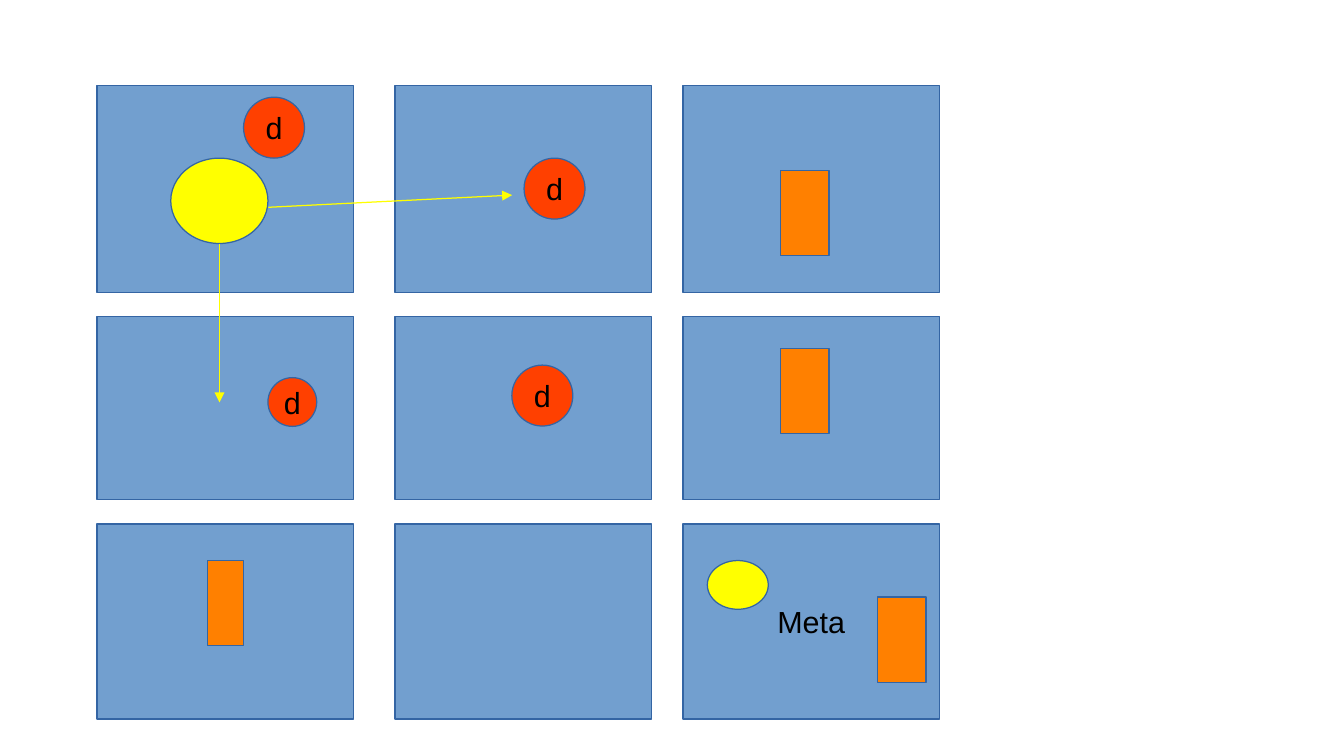
import pptx
import pptx.util
import pptx.dml.color
import pptx.enum.shapes
import pptx.enum.text
import pptx.oxml.ns
import lxml.etree

Pt = pptx.util.Pt
SHAPES = pptx.enum.shapes.MSO_SHAPE
COLOURS = {
    "room": "729FCF",
    "outline": "3465A4",
    "player": "FFFF00",
    "danger": "FF4000",
    "door": "FF8000",
    "text": "000000",
}
COLUMNS = (57.2, 233.2, 403.2)
ROWS = ((50.4, 122.4), (187, 108), (309.4, 115.2))
ROOM_WIDTH = 151.4


def colour(name):
    """Return the RGB colour stored under a name."""
    return pptx.dml.color.RGBColor.from_string(COLOURS[name])


def write_text(shape, text, size=18, font="Arial", ink="text"):
    """Write centred, unwrapped text in a shape."""
    frame = shape.text_frame
    frame.word_wrap = False
    frame.vertical_anchor = pptx.enum.text.MSO_ANCHOR.MIDDLE
    paragraph = frame.paragraphs[0]
    paragraph.alignment = pptx.enum.text.PP_ALIGN.CENTER
    run = paragraph.add_run()
    run.text = text
    run.font.size = Pt(size)
    run.font.name = font
    run.font.color.rgb = colour(ink)


def add_piece(slide, preset, fill, left, top, width, height, text=""):
    """Add an outlined preset shape with an optional label."""
    piece = slide.shapes.add_shape(
        preset, Pt(left), Pt(top), Pt(width), Pt(height))
    piece.shadow.inherit = False
    piece.fill.solid()
    piece.fill.fore_color.rgb = colour(fill)
    piece.line.color.rgb = colour("outline")
    piece.line.width = Pt(0.75)
    if text:
        write_text(piece, text)


def add_move(slide, *ends):
    """Add a player's move as a straight arrow."""
    move = slide.shapes.add_connector(
        pptx.enum.shapes.MSO_CONNECTOR.STRAIGHT, *map(Pt, ends))
    move.line.color.rgb = colour("player")
    move.line.width = Pt(0.75)
    qn = pptx.oxml.ns.qn
    properties = move.line._get_or_add_ln()
    lxml.etree.SubElement(properties, qn("a:tailEnd"), type="triangle")
    lxml.etree.SubElement(properties.getparent(), qn("a:effectLst"))


def add_rooms(slide):
    """Add the grid of rooms, with the goal in the last one."""
    for left in COLUMNS:
        for top, height in ROWS:
            is_goal = left == COLUMNS[-1] and top == ROWS[-1][0]
            add_piece(slide, SHAPES.RECTANGLE, "room", left, top,
                      ROOM_WIDTH, height, "Meta" if is_goal else "")


def main():
    """Build the game board slide and save it."""
    deck = pptx.Presentation()
    deck.slide_width, deck.slide_height = Pt(793.44), Pt(446.4)
    slide = deck.slides.add_slide(deck.slide_layouts[6])

    add_rooms(slide)
    add_piece(slide, SHAPES.OVAL, "player", 100.8, 93.4, 57.4, 50.4)
    add_move(slide, 158.4, 122.4, 302.4, 115.2)
    add_move(slide, 129.6, 144, 129.6, 237.6)
    for left, top, size in ((302.2, 215.6, 36), (309.4, 93.4, 36),
                            (158.2, 223, 28.8)):
        add_piece(slide, SHAPES.OVAL, "danger", left, top, size, size, "d")
    for left, top, width in ((460.6, 100.6, 28.8), (122.4, 330.8, 21.6),
                             (460.6, 205.6, 28.8)):
        add_piece(slide, SHAPES.RECTANGLE, "door", left, top, width, 50.4)
    add_piece(slide, SHAPES.OVAL, "player", 417.6, 331, 36, 28.8)
    add_piece(slide, SHAPES.RECTANGLE, "door", 518, 352.6, 28.8, 50.4)
    add_piece(slide, SHAPES.OVAL, "danger", 143.8, 57.4, 36, 36, "d")

    deck.save("out.pptx")


main()
